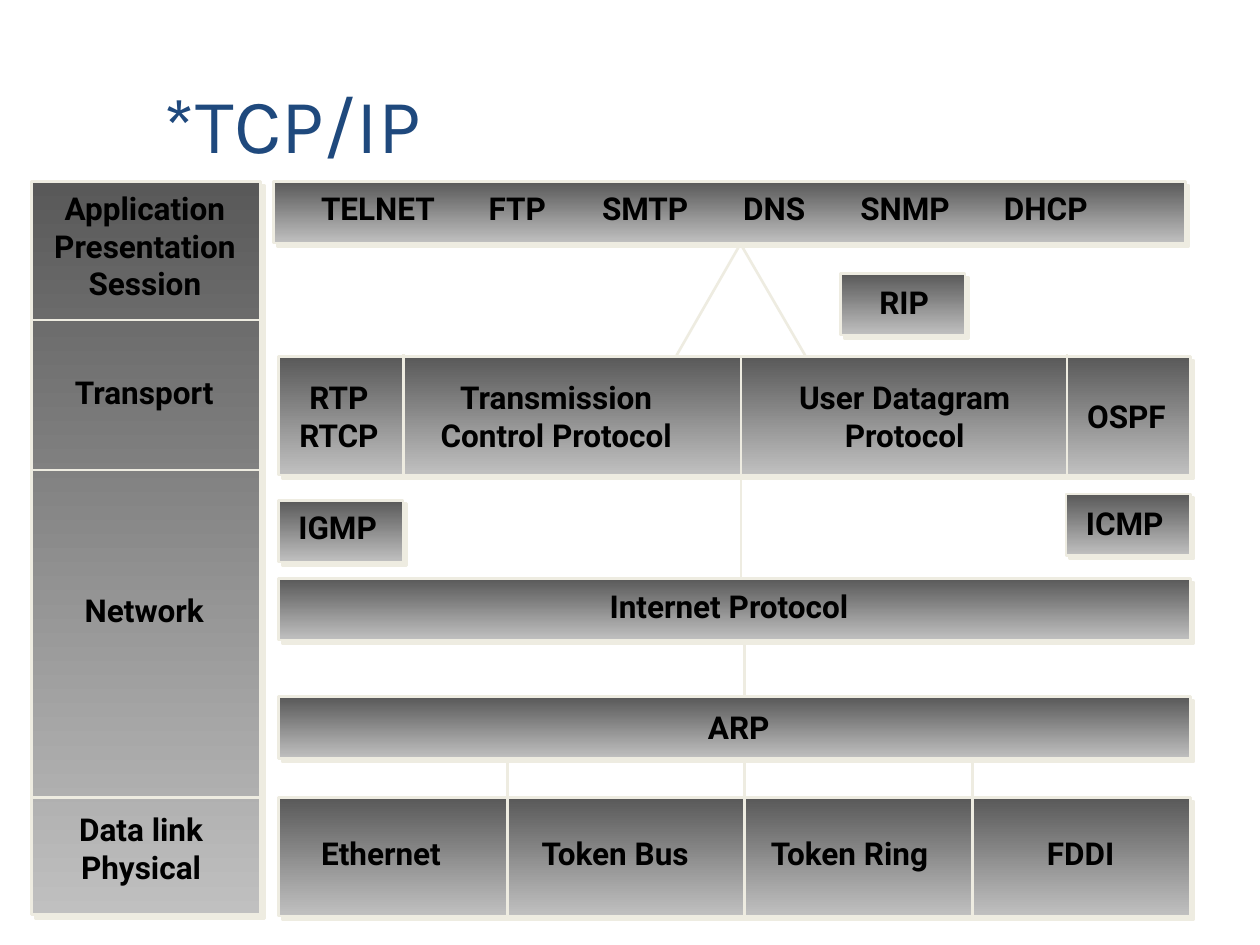
from lxml.etree import SubElement
from pptx import Presentation
from pptx.dml.color import RGBColor
from pptx.enum.shapes import MSO_CONNECTOR, MSO_SHAPE
from pptx.enum.text import MSO_ANCHOR, MSO_AUTO_SIZE, PP_ALIGN
from pptx.oxml.ns import qn
from pptx.util import Inches, Pt

EDGE = "EEECE1"
LEFT, WIDTH = 2.21, 7.24
SMALL_WIDTH, BAR_HEIGHT, ROW_HEIGHT = 0.99, 0.49, 0.94
TRANSPORT_TOP, LINK_TOP = 2.83, 6.33
STACK_LEFT, STACK_RIGHT = 0.24, 2.07

BLOCKS = [
    (LEFT, 3.97, SMALL_WIDTH, BAR_HEIGHT),
    (LEFT, 5.53, WIDTH, BAR_HEIGHT),
    (LEFT, LINK_TOP, WIDTH, ROW_HEIGHT),
    (0.25, 1.44, 1.82, 5.82),
    (LEFT, 4.59, WIDTH, BAR_HEIGHT),
    (8.46, 3.92, SMALL_WIDTH, BAR_HEIGHT),
    (LEFT, TRANSPORT_TOP, WIDTH, ROW_HEIGHT),
    (6.67, 2.17, SMALL_WIDTH, BAR_HEIGHT),
    (2.17, 1.44, WIDTH, BAR_HEIGHT),
]

LINK_DIVIDERS = [4.03, 5.91, 7.72]
LAYER_DIVIDERS = [2.54, 3.73, LINK_TOP]
TRANSPORT_DIVIDERS = [3.2, 8.47]
BRANCHES = [
    (5.91, 5.08, 5.91, 5.53),
    (5.88, 4.59, 5.88, TRANSPORT_TOP),
    (5.88, 1.93, 5.37, 2.82),
    (5.88, 1.94, 6.39, 2.82),
]

PROTOCOLS = [
    ("Ethernet", 2.45, 6.57, 1.22),
    ("Token Bus", 4.2, 6.57, 1.48),
    ("Token Ring", 6.02, 6.57, 1.56),
    ("FDDI", 8.21, 6.57, 0.78),
    ("Internet Protocol", 4.74, 4.61, 2.2),
    ("ARP", 5.52, 5.57, 0.73),
    ("ICMP", 8.52, 3.95, 0.83),
    ("IGMP", 2.27, 3.98, 0.84),
    ("RIP", 6.88, 2.2, 0.62),
]
LAYERS = [
    ("Data link\nPhysical", 0.5, 6.38, 1.24),
    ("Network", 0.55, 4.64, 1.19),
    ("Transport", 0.46, 2.91, 1.37),
    ("Application\nPresentation\nSession", 0.29, 1.45, 1.72),
]
TRANSPORTS = [
    ("RTP\nRTCP", 2.15, 2.9, 1.08),
    ("Transmission\nControl Protocol", 3.23, 2.9, 2.37),
    ("User Datagram\nProtocol", 6.09, 2.9, 2.18),
    ("OSPF", 8.4, 3.05, 1.08),
]
APPLICATIONS = ["TELNET", "FTP", "SMTP", "DNS", "SNMP", "DHCP"]
APPLICATION_TABS = [1.33, 2.23, 3.35, 4.28, 5.42]


def color(value):
    return RGBColor.from_string(value)


def set_insets(frame, across, down):
    frame.margin_left = frame.margin_right = Inches(across)
    frame.margin_top = frame.margin_bottom = Inches(down)


def add_title(slide, text):
    title = slide.shapes.title
    title.left, title.top = Inches(1.25), Inches(0.33)
    title.width, title.height = Inches(6.92), Inches(1.06)
    frame = title.text_frame
    frame.vertical_anchor = MSO_ANCHOR.BOTTOM
    frame.auto_size = MSO_AUTO_SIZE.NONE
    set_insets(frame, 0.05, 0.05)
    paragraph = frame.paragraphs[0]
    paragraph.alignment = PP_ALIGN.LEFT
    run = paragraph.add_run()
    run.text = text
    run.font.size = Pt(44)
    run.font.name = "Karla"
    run.font.color.rgb = color("1F497D")


def add_hard_shadow(shape):
    """Add an unblurred shadow, offset to the lower right."""
    shape.shadow.inherit = False
    effects = shape._element.spPr.find(qn("a:effectLst"))
    shadow = SubElement(effects, qn("a:outerShdw"), blurRad="0",
                        dist=str(Pt(2.8)), dir=str(45 * 60000),
                        algn="ctr", rotWithShape="0")
    SubElement(shadow, qn("a:srgbClr"), val=EDGE)


def add_block(slide, left, top, width, height):
    block = slide.shapes.add_shape(MSO_SHAPE.RECTANGLE, Inches(left),
                                   Inches(top), Inches(width), Inches(height))
    block.fill.gradient()
    block.fill.gradient_angle = 270
    for stop, shade in zip(block.fill.gradient_stops, ["595959", "C0C0C0"]):
        stop.color.rgb = color(shade)
    block.line.color.rgb = color(EDGE)
    block.line.width = Pt(1.5)
    add_hard_shadow(block)


def add_line(slide, x1, y1, x2, y2):
    line = slide.shapes.add_connector(MSO_CONNECTOR.STRAIGHT, Inches(x1),
                                      Inches(y1), Inches(x2), Inches(y2))
    line.line.color.rgb = color(EDGE)
    line.line.width = Pt(1.5)
    SubElement(line._element.spPr, qn("a:effectLst"))


def add_label(slide, text, left, top, width, align=PP_ALIGN.LEFT, inset=0.1):
    """Add bold text, one paragraph per line, with half the inset above and below."""
    lines = text.split("\n")
    height = 0.3 * len(lines) + inset
    box = slide.shapes.add_textbox(Inches(left), Inches(top),
                                   Inches(width), Inches(height))
    frame = box.text_frame
    frame.word_wrap = False
    frame.auto_size = MSO_AUTO_SIZE.SHAPE_TO_FIT_TEXT
    set_insets(frame, inset, inset / 2)
    for index, line in enumerate(lines):
        paragraph = frame.add_paragraph() if index else frame.paragraphs[0]
        paragraph.alignment = align
        run = paragraph.add_run()
        run.text = line
        run.font.size = Pt(18)
        run.font.name = "Roboto"
        run.font.bold = True
        run.font.color.rgb = color("000000")
    return frame


def add_application_row(slide):
    frame = add_label(slide, "\t".join(APPLICATIONS), 2.45, 1.45, 6.73)
    frame.word_wrap = True
    properties = frame.paragraphs[0]._p.get_or_add_pPr()
    tabs = SubElement(properties, qn("a:tabLst"))
    for position in APPLICATION_TABS:
        SubElement(tabs, qn("a:tab"), pos=str(Inches(position)), algn="l")


def main():
    presentation = Presentation()
    presentation.slide_width, presentation.slide_height = Inches(10), Inches(7.5)
    slide = presentation.slides.add_slide(presentation.slide_layouts[5])
    add_title(slide, "*TCP/IP")
    for block in BLOCKS:
        add_block(slide, *block)

    for x in LINK_DIVIDERS:
        add_line(slide, x, 6.02, x, LINK_TOP + ROW_HEIGHT)
    for y in LAYER_DIVIDERS:
        add_line(slide, STACK_LEFT, y, STACK_RIGHT, y)
    for x in TRANSPORT_DIVIDERS:
        add_line(slide, x, TRANSPORT_TOP + ROW_HEIGHT, x, 2.81)
    for branch in BRANCHES:
        add_line(slide, *branch)

    add_application_row(slide)
    for protocol in PROTOCOLS:
        add_label(slide, *protocol)
    for layer in LAYERS:
        add_label(slide, *layer, align=PP_ALIGN.CENTER)
    for transport in TRANSPORTS:
        add_label(slide, *transport, align=PP_ALIGN.CENTER, inset=0.2)
    presentation.save("out.pptx")


if __name__ == "__main__":
    main()
